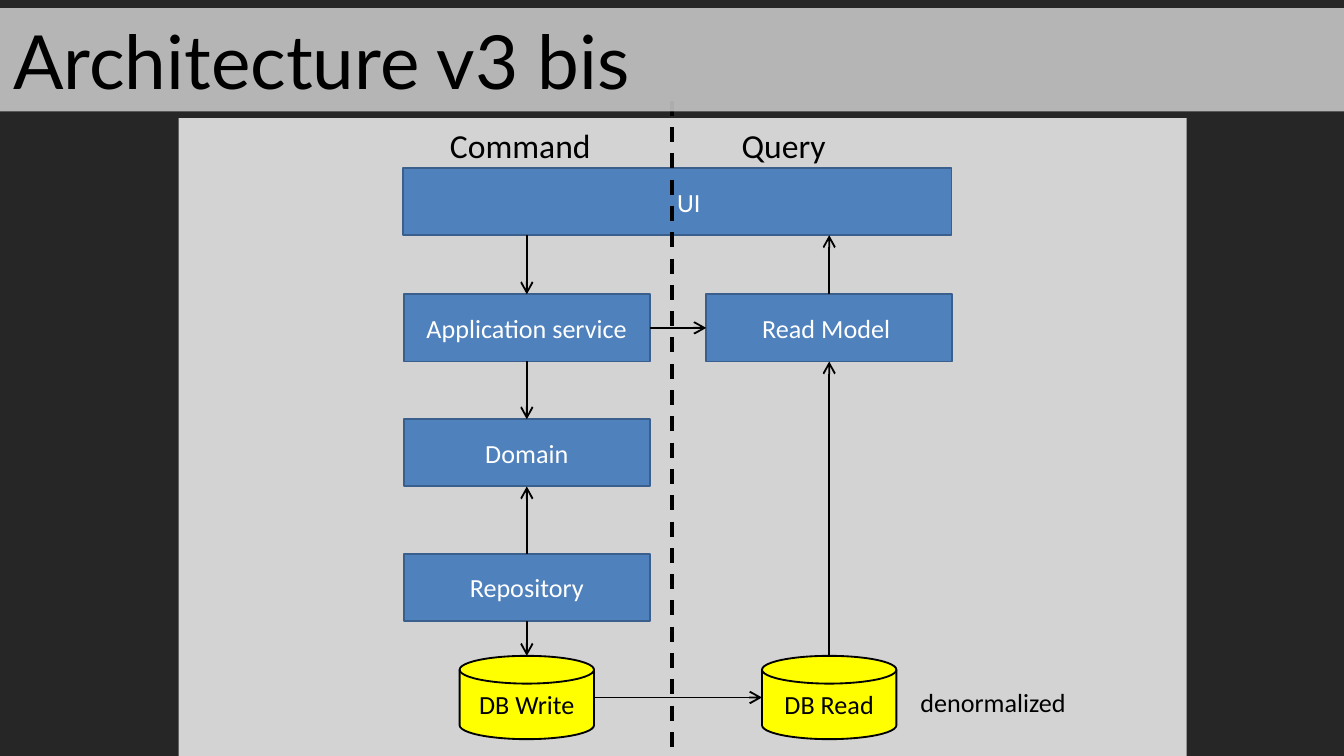
from typing import NamedTuple, Optional

import pptx
import pptx.dml.color
import pptx.enum.dml
import pptx.enum.shapes
import pptx.enum.text
import pptx.oxml
import pptx.oxml.ns
import pptx.util
from pptx.util import Inches

SHAPE = pptx.enum.shapes.MSO_SHAPE
ALIGN = pptx.enum.text.PP_ALIGN
MIDDLE = pptx.enum.text.MSO_ANCHOR.MIDDLE
TOP, LEFT, BOTTOM, RIGHT = range(4)

SLIDE_W = 10
SLIDE_H = SLIDE_W * 9 / 16
BOX_W, BOX_H = 1.83, 0.5
DB_W, DB_H = 1, 0.62
COMMAND_X, QUERY_X = 3.92, 6.17  # column centres
SERVICE_Y, DOMAIN_Y, REPOSITORY_Y, DB_Y = 2.19, 3.12, 4.12, 4.88
UI_LEFT, UI_Y, UI_W = 3, 1.25, 4.08


class Node(NamedTuple):
    text: str
    left: float
    top: float
    width: float = BOX_W
    height: float = BOX_H
    kind: int = SHAPE.RECTANGLE
    fill: str = "4F81BD"
    line: str = "3A5F8C"
    ink: str = "FFFFFF"
    inset: float = 0.1


class Label(NamedTuple):
    text: str
    left: float
    top: float
    height: float
    size: int


class Arrow(NamedTuple):
    start: tuple[float, float]
    end: tuple[float, float]
    source: Optional[tuple[str, int]] = None  # box name and side
    target: Optional[tuple[str, int]] = None


def box_at(text: str, centre: float, top: float) -> Node:
    return Node(text, centre - BOX_W / 2, top)


def database(text: str, centre: float) -> Node:
    return Node(text, centre - DB_W / 2, DB_Y, DB_W, DB_H,
                SHAPE.FLOWCHART_MAGNETIC_DISK, "FFFF00", "000000", "000000")


NODES = [
    Node("UI", UI_LEFT, UI_Y, UI_W, inset=0.27),
    box_at("Application service", COMMAND_X, SERVICE_Y),
    box_at("Domain", COMMAND_X, DOMAIN_Y),
    box_at("Repository", COMMAND_X, REPOSITORY_Y),
    box_at("Read Model ", QUERY_X, SERVICE_Y),
    database("DB Write", COMMAND_X),
    database("DB Read", QUERY_X),
]
LABELS = [
    Label("Command", 3.25, 0.88, 0.4, 18),
    Label("Query", 5.42, 0.88, 0.4, 18),
    Label("denormalized", 6.75, 5.06, 0.34, 14),
]
SERVICE_MID, DB_MID = SERVICE_Y + BOX_H / 2, DB_Y + DB_H / 2
ARROWS = [
    Arrow((COMMAND_X, UI_Y + BOX_H), (COMMAND_X, SERVICE_Y),
          target=("Application service", TOP)),
    Arrow((COMMAND_X, SERVICE_Y + BOX_H), (COMMAND_X, DOMAIN_Y),
          ("Application service", BOTTOM), ("Domain", TOP)),
    Arrow((COMMAND_X, REPOSITORY_Y), (COMMAND_X, DOMAIN_Y + BOX_H),
          ("Repository", TOP), ("Domain", BOTTOM)),
    Arrow((COMMAND_X, REPOSITORY_Y + BOX_H), (COMMAND_X, DB_Y),
          source=("Repository", BOTTOM)),
    Arrow((QUERY_X, SERVICE_Y), (QUERY_X, UI_Y + BOX_H),
          source=("Read Model ", TOP)),
    Arrow((QUERY_X, DB_Y), (QUERY_X, SERVICE_Y + BOX_H),
          target=("Read Model ", BOTTOM)),
    Arrow((COMMAND_X + BOX_W / 2, SERVICE_MID), (QUERY_X - BOX_W / 2, SERVICE_MID),
          ("Application service", RIGHT), ("Read Model ", LEFT)),
    Arrow((COMMAND_X + DB_W / 2, DB_MID), (QUERY_X - DB_W / 2, DB_MID)),
]


def rgb(color: str) -> pptx.dml.color.RGBColor:
    return pptx.dml.color.RGBColor.from_string(color)


def paint(shape, color: str, opacity: int = 100) -> None:
    shape.fill.solid()
    shape.fill.fore_color.rgb = rgb(color)
    if opacity < 100:
        srgb = shape.fill._xPr.find(".//" + pptx.oxml.ns.qn("a:srgbClr"))
        alpha = pptx.oxml.parse_xml(
            f'<a:alpha {pptx.oxml.ns.nsdecls("a")} val="{opacity * 1000}"/>')
        srgb.append(alpha)


def write(shape, text: str, size: int, color: str = "000000",
          font: str = "Calibri", align: int = ALIGN.LEFT) -> None:
    paragraph = shape.text_frame.paragraphs[0]
    paragraph.alignment = align
    run = paragraph.add_run()
    run.text = text
    run.font.name = font
    run.font.size = pptx.util.Pt(size)
    run.font.color.rgb = rgb(color)


def draw_node(slide, node: Node):
    shape = slide.shapes.add_shape(node.kind, Inches(node.left), Inches(node.top),
                                   Inches(node.width), Inches(node.height))
    shape.shadow.inherit = False
    paint(shape, node.fill)
    shape.line.color.rgb = rgb(node.line)
    shape.line.width = pptx.util.Pt(1)
    shape.text_frame.word_wrap = True
    shape.text_frame.vertical_anchor = MIDDLE
    shape.text_frame.margin_left = Inches(node.inset)
    write(shape, node.text, 14, node.ink, align=ALIGN.CENTER)
    return shape


def draw_label(slide, label: Label) -> None:
    box = slide.shapes.add_textbox(Inches(label.left), Inches(label.top),
                                   Inches(1.5), Inches(label.height))
    box.text_frame.word_wrap = True
    write(box, label.text, label.size)


def draw_line(slide, start: tuple[float, float], end: tuple[float, float], width: int):
    line = slide.shapes.add_connector(
        pptx.enum.shapes.MSO_CONNECTOR.STRAIGHT,
        *(Inches(value) for value in (*start, *end)))
    line.line.color.rgb = rgb("000000")
    line.line.width = pptx.util.Pt(width)
    line._element.spPr.append(pptx.oxml.parse_xml(
        f'<a:effectLst {pptx.oxml.ns.nsdecls("a")}/>'))
    return line


def draw_arrow(slide, arrow: Arrow, shapes: dict) -> None:
    line = draw_line(slide, arrow.start, arrow.end, 1)
    line.line._get_or_add_ln().append(pptx.oxml.parse_xml(
        f'<a:tailEnd {pptx.oxml.ns.nsdecls("a")} type="arrow"/>'))
    if arrow.source:
        line.begin_connect(shapes[arrow.source[0]], arrow.source[1])
    if arrow.target:
        line.end_connect(shapes[arrow.target[0]], arrow.target[1])


def draw_title(slide, text: str) -> None:
    title = slide.shapes.title
    title.left, title.top = Inches(0), Inches(0.06)
    title.width, title.height = Inches(SLIDE_W), Inches(0.77)
    paint(title, "D9D9D9", 80)
    title.text_frame.vertical_anchor = MIDDLE
    write(title, text, 40, font="Lato")
    # The title bar lies over the top of the divider
    slide.shapes._spTree.append(title._element)


def main() -> None:
    deck = pptx.Presentation()
    deck.slide_width, deck.slide_height = Inches(SLIDE_W), Inches(SLIDE_H)
    slide = deck.slides.add_slide(deck.slide_layouts.get_by_name("Title Only"))
    paint(slide.background, "262626")

    # Translucent panel
    panel = slide.shapes.add_shape(SHAPE.RECTANGLE, Inches(1.33), Inches(0.88),
                                   Inches(7.5), Inches(SLIDE_H - 0.88))
    panel.shadow.inherit = False
    paint(panel, "F2F2F2", 85)
    panel.line.fill.background()

    # Diagram
    shapes = {node.text: draw_node(slide, node) for node in NODES}
    for arrow in ARROWS:
        draw_arrow(slide, arrow, shapes)
    for label in LABELS:
        draw_label(slide, label)

    # Divider between command and query
    divider = draw_line(slide, (5, 0.75), (5, SLIDE_H), 2)
    divider.line.dash_style = pptx.enum.dml.MSO_LINE.DASH

    draw_title(slide, "Architecture v3 bis")
    deck.save("out.pptx")


if __name__ == "__main__":
    main()
